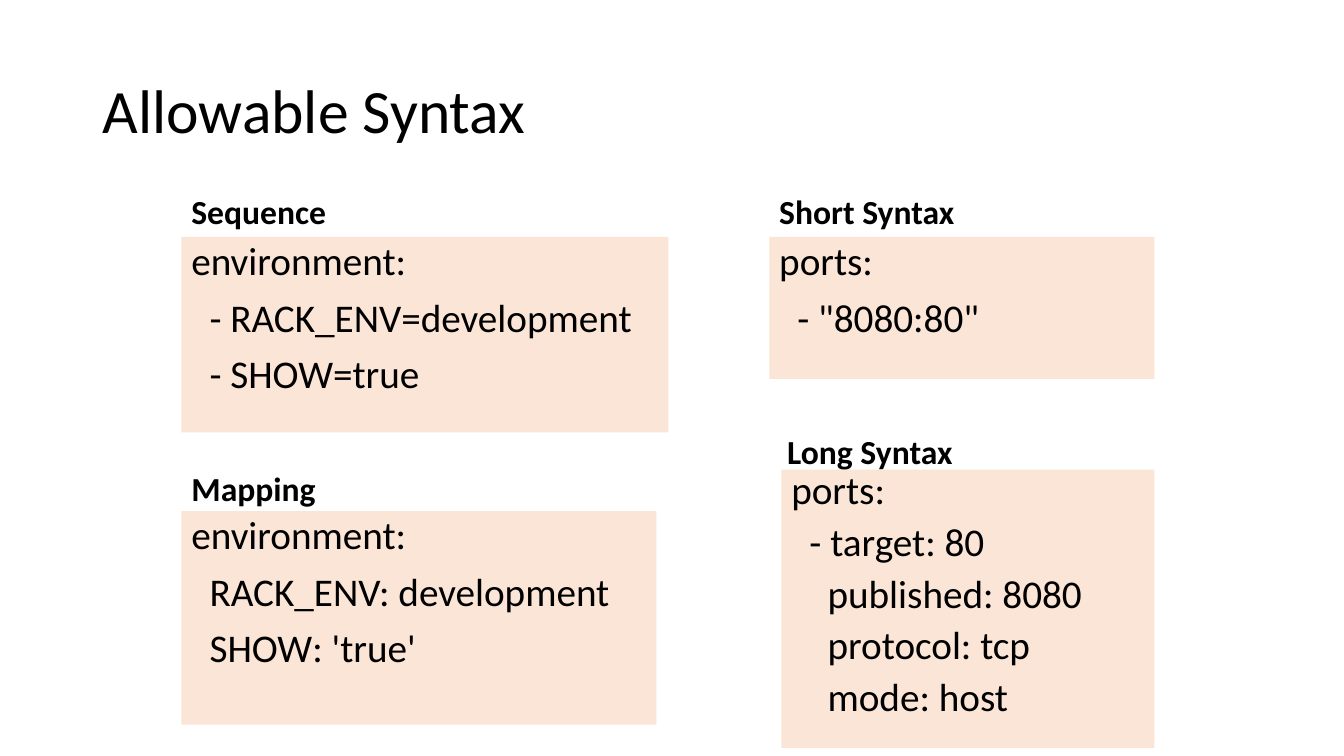
from pptx import Presentation
from pptx.dml.color import RGBColor
from pptx.enum.shapes import MSO_SHAPE
from pptx.enum.text import MSO_ANCHOR, PP_ALIGN
from pptx.util import Inches, Pt

RECT = MSO_SHAPE.RECTANGLE
TOP, MID, LOW = MSO_ANCHOR.TOP, MSO_ANCHOR.MIDDLE, MSO_ANCHOR.BOTTOM
LEFT = PP_ALIGN.LEFT

theme = {
    "font": "Calibri",
    "ink": RGBColor.from_string("000000"),
    "panel": RGBColor.from_string("FBE5D6"),
    "title": Pt(44),
    "head": Pt(24),
    "code": Pt(28),
    "gap": Pt(10),
    "indent": Inches(0.18),
}

deck = Presentation()
deck.slide_width = Inches(13.33)
deck.slide_height = Inches(7.5)
slide = deck.slides.add_slide(deck.slide_layouts[6])


def write(shape, lines, size, anchor, bold=False, pitch=0.9):
    frame = shape.text_frame
    frame.word_wrap = True
    frame.vertical_anchor = anchor
    for row, (level, text) in enumerate(lines):
        para = frame.add_paragraph() if row else frame.paragraphs[0]
        para.text = text
        para.alignment = LEFT
        para.line_spacing = pitch
        para.space_before = theme["gap"] if row else Pt(0)
        if level:
            para._p.get_or_add_pPr().set("marL", str(level * theme["indent"]))
        font = para.runs[0].font
        font.name = theme["font"]
        font.size = theme[size]
        font.bold = bold
        font.color.rgb = theme["ink"]


def place(box):
    return [Inches(side) for side in box]


title = slide.shapes.add_textbox(*place((0.92, 0.4, 11.5, 1.45)))
write(title, [(0, "Allowable Syntax")], "title", MID)

samples = [
    ("Sequence", (1.8, 1.45, 5.64, 0.9), (1.8, 2.35, 4.83, 1.94), 0.9,
     [(0, "environment:"), (1, "- RACK_ENV=development"), (1, "- SHOW=true")]),
    ("Short Syntax", (7.63, 1.45, 3.82, 0.9), (7.63, 2.35, 3.82, 1.41), 0.9,
     [(0, "ports:"), (1, '- "8080:80"')]),
    ("Mapping", (1.8, 4.45, 5.64, 0.65), (1.8, 5.07, 4.71, 2.12), 0.9,
     [(0, "environment:"), (1, "RACK_ENV: development"), (1, "SHOW: 'true'")]),
    ("Long Syntax", (7.71, 4.17, 3.74, 0.56), (7.75, 4.66, 3.7, 2.76), 0.8,
     [(0, "ports:"), (1, "- target: 80"), (2, "published: 8080"),
      (2, "protocol: tcp"), (2, "mode: host")]),
]

for name, head_box, code_box, pitch, lines in samples:
    head = slide.shapes.add_textbox(*place(head_box))
    write(head, [(0, name)], "head", LOW, bold=True)
    panel = slide.shapes.add_shape(RECT, *place(code_box))
    panel.shadow.inherit = False
    panel.fill.solid()
    panel.fill.fore_color.rgb = theme["panel"]
    panel.line.fill.background()
    write(panel, lines, "code", TOP, pitch=pitch)

deck.save("out.pptx")
